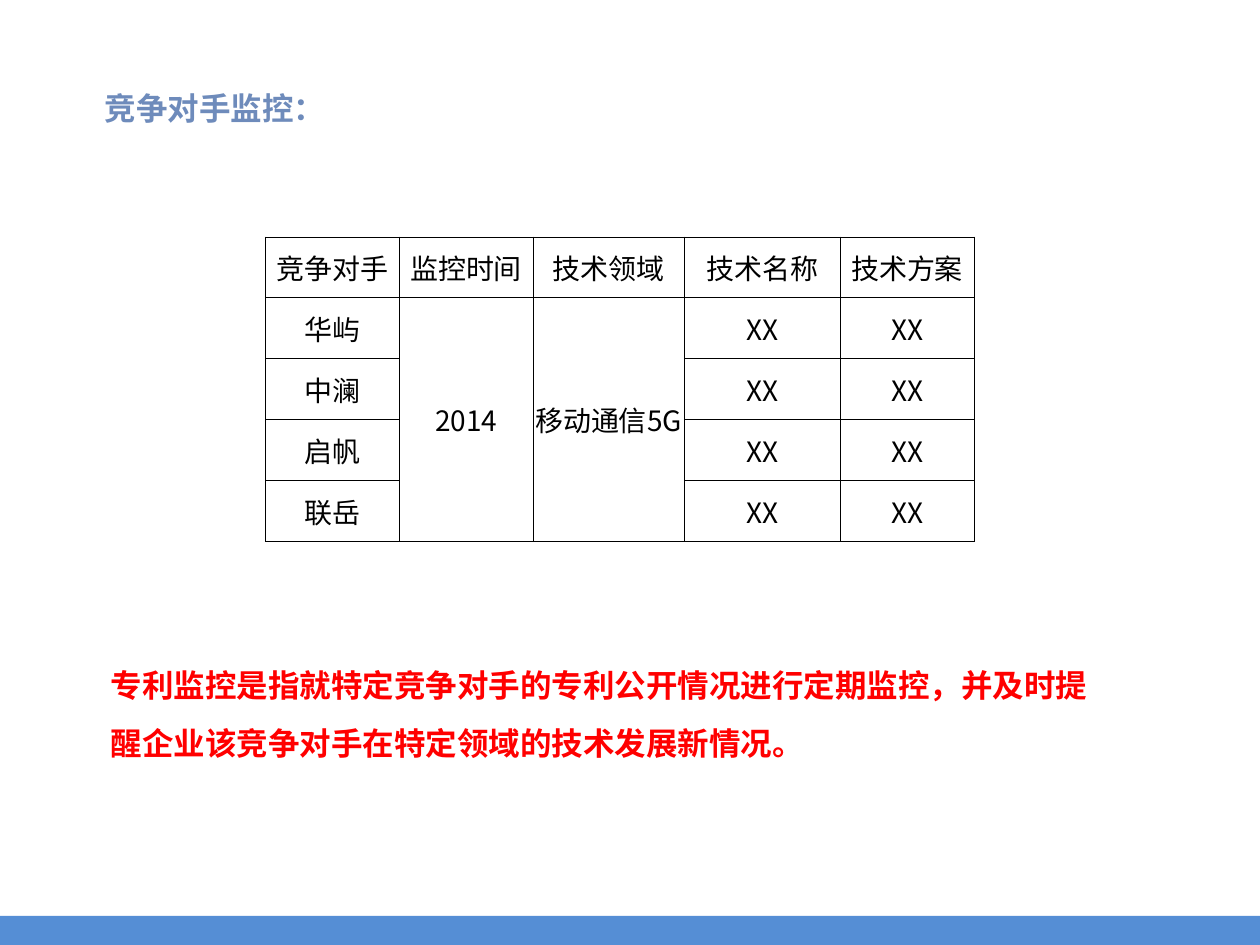
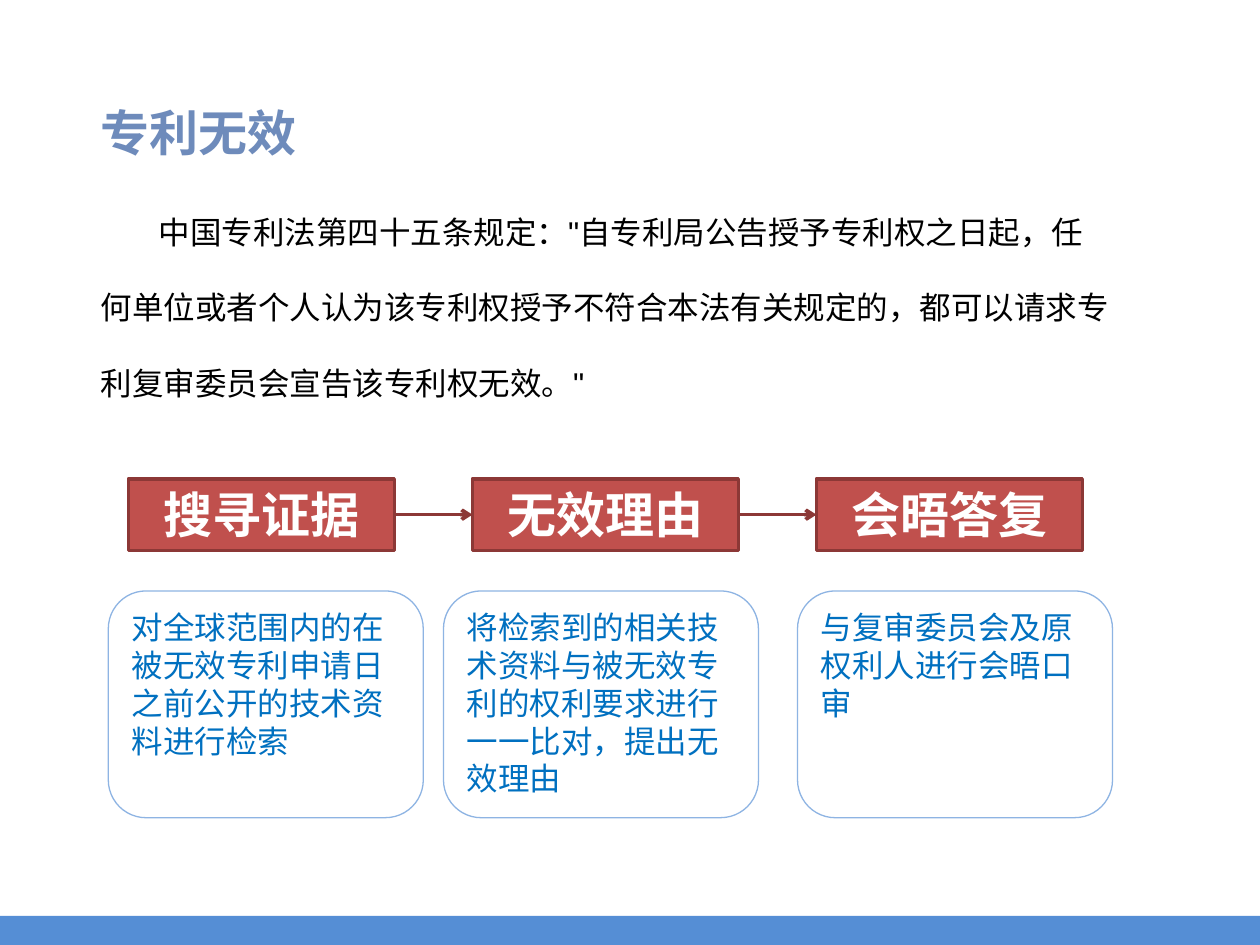
import pptx
import pptx.dml.color
import pptx.enum.shapes
import pptx.enum.text
import pptx.oxml
import pptx.oxml.ns
import pptx.util
from lxml import etree

Inches = pptx.util.Inches
Pt = pptx.util.Pt
SHAPES = pptx.enum.shapes.MSO_SHAPE
ALIGN = pptx.enum.text.PP_ALIGN
ANCHOR = pptx.enum.text.MSO_ANCHOR
qn = pptx.oxml.ns.qn

COLORS = {
    "title": "6E8BBB",
    "band": "558ED5",
    "alert": "FF0000",
    "ink": "000000",
    "paper": "FFFFFF",
    "step": "C0504D",
    "step_line": "8C3836",
    "card_line": "8EB4E3",
    "card_text": "0070C0",
}
LATIN_FONT = "Arial"
CHINESE_FONT = "Noto Sans CJK SC"
LINE_HEIGHT = 1.2

MONITORING_HEADERS = ["竞争对手", "监控时间", "技术领域", "技术名称", "技术方案"]
COMPETITORS = ["华屿", "中澜", "启帆", "联岳"]
MONITORING_NOTE = [
    "专利监控是指就特定竞争对手的专利公开情况进行定期监控，并及时提",
    "醒企业该竞争对手在特定领域的技术发展新情况。",
]
LAW_QUOTE = [
    "中国专利法第四十五条规定：\"自专利局公告授予专利权之日起，任",
    "何单位或者个人认为该专利权授予不符合本法有关规定的，都可以请求专",
    "利复审委员会宣告该专利权无效。\"",
]
STEPS = ["搜寻证据", "无效理由", "会晤答复"]
CARDS = [
    (0, "对全球范围内的在被无效专利申请日之前公开的技术资料进行检索"),
    (2.66, "将检索到的相关技术资料与被无效专利的权利要求进行一一比对，提出无效理由"),
    (5.47, "与复审委员会及原权利人进行会晤口审"),
]


def rgb(name):
    return pptx.dml.color.RGBColor.from_string(COLORS[name])


def format_paragraph(paragraph, size, color, font=LATIN_FONT, bold=False, align=ALIGN.LEFT):
    paragraph.alignment = align
    for run in paragraph.runs:
        run.font.size = Pt(size)
        run.font.bold = bold
        run.font.name = font
        run.font.color.rgb = rgb(color)
        properties = run._r.get_or_add_rPr()
        etree.SubElement(properties, qn("a:ea")).set("typeface", CHINESE_FONT)


def write(shape, lines, size, color, space_before=0, **style):
    frame = shape.text_frame
    frame.text = "\n".join(lines)
    frame.word_wrap = True
    frame.auto_size = pptx.enum.text.MSO_AUTO_SIZE.NONE
    frame.vertical_anchor = ANCHOR.TOP
    for index, paragraph in enumerate(frame.paragraphs):
        format_paragraph(paragraph, size, color, **style)
        paragraph.line_spacing = Pt(size * LINE_HEIGHT)
        paragraph.space_before = Pt(space_before if index else 0)


def add_box(slide, kind, box, fill=None, line=None, line_width=1):
    shape = slide.shapes.add_shape(kind, *map(Inches, box))
    shape.shadow.inherit = False
    if fill:
        shape.fill.solid()
        shape.fill.fore_color.rgb = rgb(fill)
    else:
        shape.fill.background()
    if line:
        shape.line.color.rgb = rgb(line)
        shape.line.width = Pt(line_width)
    else:
        shape.line.fill.background()
    return shape


def add_titled_slide(presentation, title, box, size):
    slide = presentation.slides.add_slide(presentation.slide_layouts[5])
    placeholder = slide.shapes.title
    placeholder.left, placeholder.top, placeholder.width, placeholder.height = map(Inches, box)
    write(placeholder, [title], size, "title", font=CHINESE_FONT, bold=True)
    add_box(slide, SHAPES.RECTANGLE, (0, 7.27, 10, 0.23), fill="band")
    return slide


def add_text(slide, box, lines, size, color, **style):
    text_box = slide.shapes.add_textbox(*map(Inches, box))
    write(text_box, lines, size, color, **style)
    return text_box


def format_cell(cell):
    cell.margin_left = cell.margin_right = Inches(0.01)
    cell.vertical_anchor = ANCHOR.MIDDLE
    cell.fill.solid()
    cell.fill.fore_color.rgb = rgb("paper")
    for paragraph in cell.text_frame.paragraphs:
        format_paragraph(paragraph, 16, "ink", font=CHINESE_FONT, align=ALIGN.CENTER)
    properties = cell._tc.get_or_add_tcPr()
    for index, side in enumerate(("lnL", "lnR", "lnT", "lnB")):
        border = etree.Element(qn(f"a:{side}"), w=str(Pt(0.45)))
        fill = etree.SubElement(border, qn("a:solidFill"))
        etree.SubElement(fill, qn("a:srgbClr")).set("val", COLORS["ink"])
        properties.insert(index, border)


def add_monitoring_table(slide, box):
    rows = [MONITORING_HEADERS] + [[name, "", "", "XX", "XX"] for name in COMPETITORS]
    rows[1][1:3] = ["2014", "移动通信5G"]
    frame = slide.shapes.add_table(len(rows), len(MONITORING_HEADERS), *map(Inches, box))
    table = frame.table
    for column, width in zip(table.columns, (1.06, 1.06, 1.2, 1.24, 1.06)):
        column.width = Inches(width)
    for row_index, row in enumerate(rows):
        for column_index, text in enumerate(row):
            cell = table.cell(row_index, column_index)
            cell.text = text
            format_cell(cell)
    for column_index in (1, 2):
        table.cell(1, column_index).merge(table.cell(len(COMPETITORS), column_index))


def add_arrow(slide, start, end):
    arrow = slide.shapes.add_connector(pptx.enum.shapes.MSO_CONNECTOR.STRAIGHT, 0, 0, 0, 0)
    arrow.begin_connect(start, 3)
    arrow.end_connect(end, 1)
    arrow.line.color.rgb = rgb("step_line")
    arrow.line.width = Pt(2)
    etree.SubElement(arrow.line._get_or_add_ln(), qn("a:tailEnd")).set("type", "arrow")
    etree.SubElement(arrow._element.spPr, qn("a:effectLst"))


def add_steps(slide, box):
    left, top, width, height = box
    step_width = 2.11
    pitch = (width - step_width) / (len(STEPS) - 1)
    steps = []
    for index, label in enumerate(STEPS):
        step_box = (left + index * pitch, top, step_width, height)
        step = add_box(slide, SHAPES.RECTANGLE, step_box, "step", "step_line", 2)
        write(step, [label], 28, "paper", font=CHINESE_FONT, bold=True, align=ALIGN.CENTER)
        steps.append(step)
    for start, end in zip(steps, steps[1:]):
        add_arrow(slide, start, end)


def add_cards(slide, box):
    left, top, width, height = box
    for offset, text in CARDS:
        card_box = (left + offset, top, width, height)
        card = add_box(slide, SHAPES.ROUNDED_RECTANGLE, card_box, line="card_line", line_width=0.75)
        write(card, [text], 18, "card_text")


def build_monitoring_slide(presentation):
    slide = add_titled_slide(presentation, "竞争对手监控：", (0.73, 0.66, 2.24, 0.5), 18)
    add_monitoring_table(slide, (2.11, 1.88, 5.62, 2.42))
    add_text(slide, (0.78, 5.24, 8.2, 0.7), MONITORING_NOTE, 18, "alert", bold=True, space_before=11.2)


def build_invalidation_slide(presentation):
    slide = add_titled_slide(presentation, "专利无效", (0.7, 0.76, 2.11, 0.57), 28)
    quote = add_text(slide, (0.7, 1.64, 8.22, 1.6), LAW_QUOTE, 18, "ink", space_before=21.6)
    first_line = quote.text_frame.paragraphs[0]._p.get_or_add_pPr()
    first_line.set("indent", str(Inches(0.46)))
    add_steps(slide, (1.02, 3.8, 7.57, 0.57))
    add_cards(slide, (0.86, 4.69, 2.5, 1.8))


def main():
    presentation = pptx.Presentation()
    presentation.slide_width = Inches(10)
    presentation.slide_height = Inches(7.5)
    build_monitoring_slide(presentation)
    build_invalidation_slide(presentation)
    presentation.save("out.pptx")


if __name__ == "__main__":
    main()
